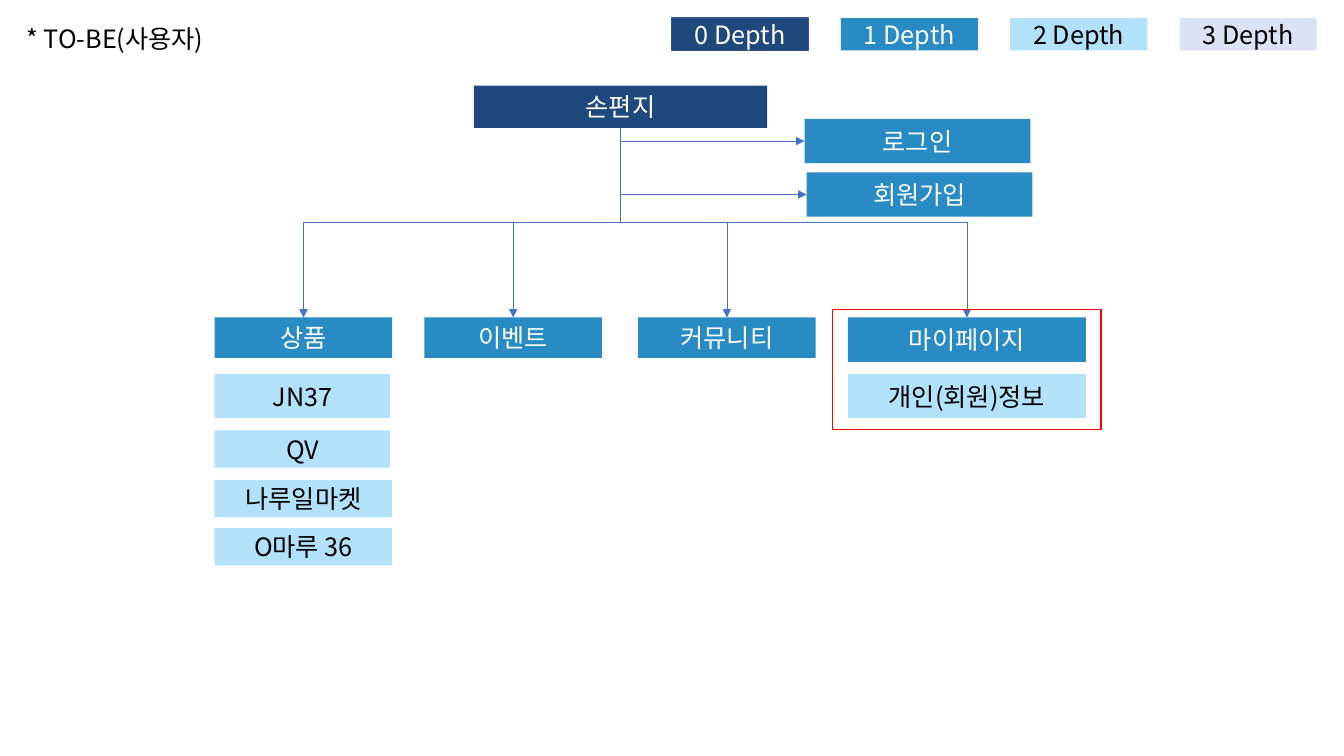
from lxml import etree
from pptx import Presentation
from pptx.dml.color import RGBColor
from pptx.enum.shapes import MSO_CONNECTOR, MSO_SHAPE
from pptx.enum.text import MSO_ANCHOR, MSO_AUTO_SIZE, PP_ALIGN
from pptx.oxml.ns import qn
from pptx.util import Pt

RECT = MSO_SHAPE.RECTANGLE
ELBOW = MSO_CONNECTOR.ELBOW
LEFT, CENTER = PP_ALIGN.LEFT, PP_ALIGN.CENTER
TOP, MIDDLE = MSO_ANCHOR.TOP, MSO_ANCHOR.MIDDLE
FIXED = MSO_AUTO_SIZE.NONE

SCALE = 9144
NAVY, BLUE, SKY, PALE = "1F497D", "288BC4", "B1E2FA", "DAE3F3"
WHITE, BLACK = "FFFFFF", "000000"


def px(n):
    return int(n * SCALE)


def color(code):
    return RGBColor.from_string(code)


class Sheet:
    font = "Noto Sans CJK KR"
    size = 18
    wire = "4472C4"
    inks = {NAVY: WHITE, BLUE: WHITE, SKY: BLACK, PALE: BLACK}

    def __init__(self, deck):
        self.slide = deck.slides.add_slide(deck.slide_layouts[5])
        self.shapes = self.slide.shapes

    def label(self, shape, text, ink, align, anchor):
        frame = shape.text_frame
        frame.text = text
        frame.word_wrap = True
        frame.auto_size = FIXED
        frame.vertical_anchor = anchor
        para = frame.paragraphs[0]
        para.alignment = align
        para.font.size = Pt(self.size)
        para.font.color.rgb = color(ink)
        para.font.name = self.font
        props = para._p.pPr.find(qn("a:defRPr"))
        etree.SubElement(props, qn("a:ea")).set("typeface", self.font)

    def title(self, text, x, y, w, h):
        shape = self.shapes.title
        shape.left, shape.top, shape.width, shape.height = map(px, (x, y, w, h))
        self.label(shape, text, BLACK, LEFT, TOP)

    def box(self, text, x, y, w, h, fill=None, line=None):
        shape = self.shapes.add_shape(RECT, *map(px, (x, y, w, h)))
        shape.shadow.inherit = False
        if fill:
            shape.fill.solid()
            shape.fill.fore_color.rgb = color(fill)
        else:
            shape.fill.background()
        if line:
            shape.line.color.rgb = color(line)
            shape.line.width = Pt(1)
        else:
            shape.line.fill.background()
        if text:
            self.label(shape, text, self.inks[fill], CENTER, MIDDLE)
        return shape

    def elbow(self, start, end, side):
        x1, y1 = start.left + start.width // 2, start.top + start.height
        if side == 0:
            x2, y2, kind = end.left + end.width // 2, end.top, "bentConnector3"
        else:
            x2, y2, kind = end.left, end.top + end.height // 2, "bentConnector2"
        link = self.shapes.add_connector(ELBOW, x1, y1, x2, y2)
        link.begin_connect(start, 2)
        link.end_connect(end, side)
        wide, tall = y2 - y1, abs(x2 - x1)
        link.left = (x1 + x2 - wide) // 2
        link.top = (y1 + y2 - tall) // 2
        link.width, link.height = wide, tall
        right = x2 > x1
        props = link._element.spPr
        turn = props.find(qn("a:xfrm"))
        turn.set("rot", str((270 if right else 90) * 60000))
        turn.set("flipH", "1" if right else "0")
        turn.set("flipV", "0")
        props.find(qn("a:prstGeom")).set("prst", kind)
        link.line.color.rgb = color(self.wire)
        link.line.width = Pt(0.5)
        tip = etree.SubElement(props.find(qn("a:ln")), qn("a:tailEnd"))
        tip.set("type", "triangle")
        etree.SubElement(props, qn("a:effectLst"))


def main():
    deck = Presentation()
    deck.slide_width, deck.slide_height = px(1333), px(750)
    sheet = Sheet(deck)
    sheet.title("* TO-BE(사용자)", 16, 18, 201, 40)

    for depth, fill in enumerate((NAVY, BLUE, SKY, PALE)):
        line = "325491" if depth == 0 else None
        sheet.box(f"{depth} Depth", 666 + 168 * depth, 18, 136, 32, fill, line)

    root = sheet.box("손편지", 470, 85, 291, 42, NAVY)
    for text, x, y in (("로그인", 798, 118), ("회원가입", 800, 171)):
        sheet.elbow(root, sheet.box(text, x, y, 224, 44, BLUE), 1)

    menus = (
        ("상품", 213, 176, 40),
        ("이벤트", 421, 176, 40),
        ("커뮤니티", 633, 176, 40),
        ("마이페이지", 841, 236, 44),
    )
    for text, x, w, h in menus:
        sheet.elbow(root, sheet.box(text, x, 315, w, h, BLUE), 0)

    pages = (
        ("JN37", 213, 371, 174, 44),
        ("QV", 213, 427, 174, 37),
        ("나루일마켓", 213, 476, 176, 37),
        ("O마루 36", 213, 524, 176, 37),
        ("개인(회원)정보", 841, 371, 236, 44),
    )
    for page in pages:
        sheet.box(*page, SKY)

    sheet.box("", 826, 307, 266, 119, line="FF0000")
    deck.save("out.pptx")


if __name__ == "__main__":
    main()
